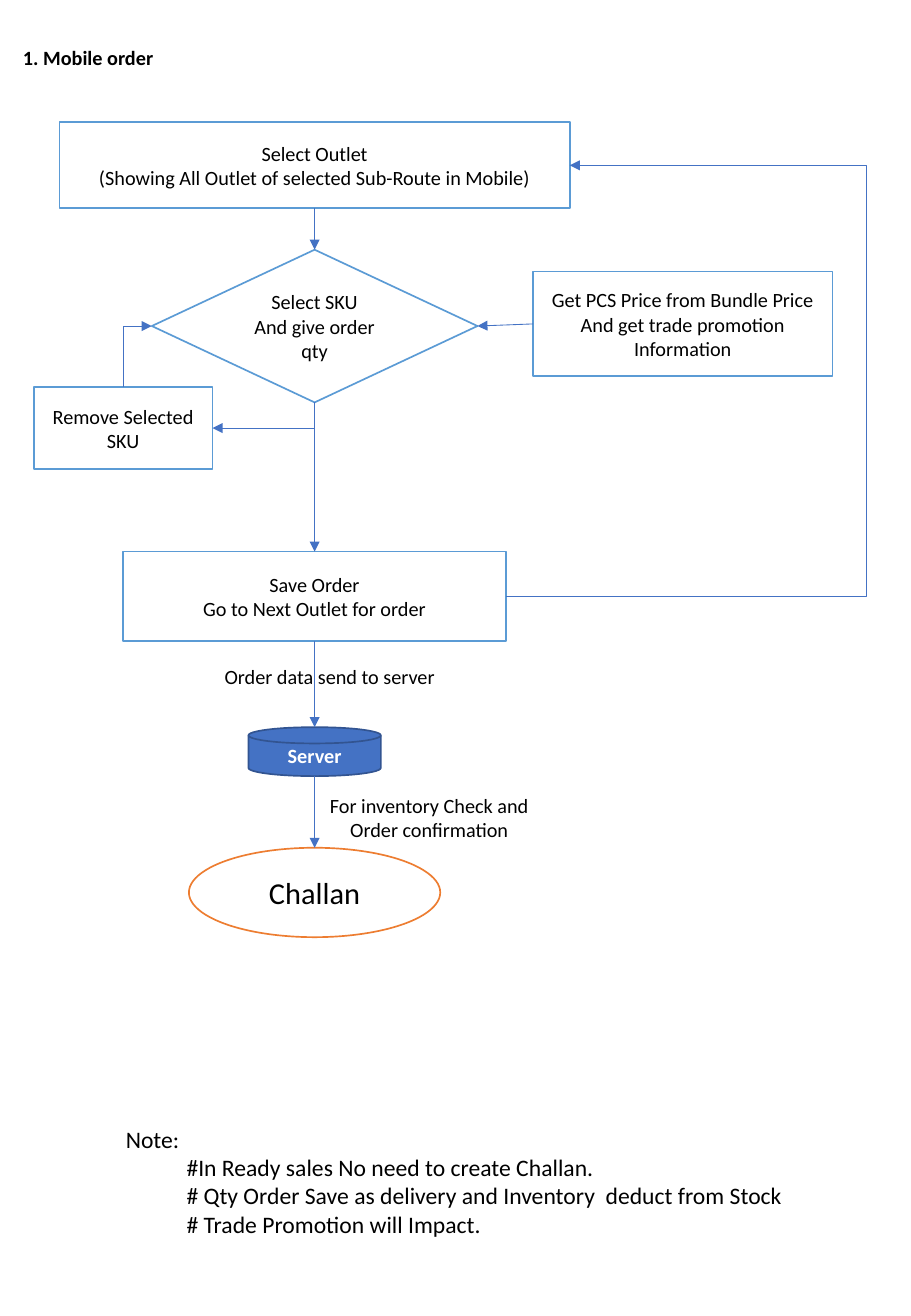
"""Build the mobile order flow chart slide."""
from dataclasses import dataclass

from lxml import etree
from pptx import Presentation
from pptx.dml.color import RGBColor
from pptx.enum.shapes import MSO_CONNECTOR, MSO_SHAPE
from pptx.enum.text import MSO_ANCHOR, PP_ALIGN
from pptx.oxml.ns import qn
from pptx.util import Pt

RECT, RHOMB = MSO_SHAPE.RECTANGLE, MSO_SHAPE.DIAMOND
OVAL, DISK = MSO_SHAPE.OVAL, MSO_SHAPE.FLOWCHART_MAGNETIC_DISK
LINE, ELBOW = MSO_CONNECTOR.STRAIGHT, MSO_CONNECTOR.ELBOW
LEFT, MID = PP_ALIGN.LEFT, PP_ALIGN.CENTER
MIDDLE, HIGH = MSO_ANCHOR.MIDDLE, MSO_ANCHOR.TOP
NORTH, WEST, SOUTH, EAST = range(4)


@dataclass(frozen=True)
class Theme:
    font: str = "Calibri"
    ink: str = "000000"
    paper: str = "FFFFFF"
    edge: str = "5B9BD5"
    wire: str = "4472C4"
    rim: str = "325491"
    warm: str = "ED7D31"
    body: int = 12
    note: int = 14
    big: int = 18


class Chart:
    def __init__(self, slide, theme):
        self.slide, self.theme = slide, theme

    def letter(self, shape, text, size, color, bold=False, align=MID, anchor=MIDDLE):
        frame = shape.text_frame
        frame.text = text
        frame.vertical_anchor = anchor
        for para in frame.paragraphs:
            para.alignment = align
            for run in para.runs:
                font = run.font
                font.name, font.size, font.bold = self.theme.font, Pt(size), bold
                font.color.rgb = RGBColor.from_string(color)
        return frame

    def node(self, kind, mid, top, wide, high, text, fill=None, edge=None,
             size=None, color=None, bold=False):
        look = self.theme
        shape = self.slide.shapes.add_shape(
            kind, Pt(mid - wide / 2), Pt(top), Pt(wide), Pt(high))
        shape.shadow.inherit = False
        shape.fill.solid()
        shape.fill.fore_color.rgb = RGBColor.from_string(fill or look.paper)
        shape.line.color.rgb = RGBColor.from_string(edge or look.edge)
        shape.line.width = Pt(1)
        frame = self.letter(shape, text, size or look.body, color or look.ink, bold)
        frame.word_wrap = True
        return shape

    def label(self, left, top, wide, high, text, size=None, wrap=False, **style):
        box = self.slide.shapes.add_textbox(Pt(left), Pt(top), Pt(wide), Pt(high))
        frame = self.letter(box, text, size or self.theme.body, self.theme.ink, **style)
        frame.word_wrap = wrap
        return frame

    def spot(self, shape, side):
        x = {WEST: 0, EAST: shape.width}.get(side, shape.width // 2)
        y = {NORTH: 0, SOUTH: shape.height}.get(side, shape.height // 2)
        return shape.left + x, shape.top + y

    def site(self, shape, side):
        disk = shape.auto_shape_type == DISK
        return side + 1 if disk else side

    def link(self, start, out, stop, into, kind=LINE, end="tailEnd"):
        con = self.slide.shapes.add_connector(kind, 0, 0, 0, 0)
        con.begin_connect(start, self.site(start, out))
        con.end_connect(stop, self.site(stop, into))
        con.begin_x, con.begin_y = self.spot(start, out)
        con.end_x, con.end_y = self.spot(stop, into)
        con.line.color.rgb = RGBColor.from_string(self.theme.wire)
        con.line.width = Pt(0.5)
        props = con.element.spPr
        etree.SubElement(props.find(qn("a:ln")), qn("a:" + end), type="triangle")
        etree.SubElement(props, qn("a:effectLst"))
        return con

    def bend(self, start, out, stop, into):
        con = self.link(start, out, stop, into, ELBOW, "headEnd")
        con.element.spPr.find(qn("a:prstGeom")).set("prst", "bentConnector2")

    def loop(self, start, stop, far):
        con = self.link(start, EAST, stop, EAST, ELBOW)
        ratio = (Pt(far) - con.begin_x) / (con.end_x - con.begin_x)
        guides = con.element.spPr.find(qn("a:prstGeom")).find(qn("a:avLst"))
        etree.SubElement(guides, qn("a:gd"), name="adj1",
                         fmla=f"val {round(ratio * 100000)}")


deck = Presentation()
deck.slide_width, deck.slide_height = Pt(540), Pt(780)
look = Theme()
flow = Chart(deck.slides.add_slide(deck.slide_layouts[6]), look)
axis = 186.5

title = flow.label(6.5, 17.5, 466, 35, "1. Mobile order", wrap=True, bold=True, align=LEFT)
title.paragraphs[0].line_spacing = 0.9

outlet = flow.node(RECT, axis, 72.5, 302.5, 51,
                   "Select Outlet\n(Showing All Outlet of selected Sub-Route in Mobile)")
pick = flow.node(RHOMB, axis, 148, 193, 90.5, "Select SKU\nAnd give order qty")
price = flow.node(RECT, 404.75, 161, 177.5, 62,
                  "Get PCS Price from Bundle Price\nAnd get trade promotion Information")
drop = flow.node(RECT, 73, 229.5, 106, 48.5, "Remove Selected SKU")
save = flow.node(RECT, axis, 327, 227, 53, "Save Order\nGo to Next Outlet for order")
server = flow.node(DISK, axis, 431, 78.5, 29, "Server", look.wire, look.rim,
                   color=look.paper, bold=True)
challan = flow.node(OVAL, axis, 502.5, 149, 53, "Challan", edge=look.warm, size=look.big)

steps = (outlet, pick, save, server, challan)
for above, below in zip(steps, steps[1:]):
    flow.link(above, SOUTH, below, NORTH)
flow.link(price, WEST, pick, EAST)
flow.bend(drop, EAST, pick, SOUTH)
flow.bend(pick, WEST, drop, NORTH)
flow.loop(save, outlet, 513.5)

flow.label(125.5, 390, 140, 22, "Order data send to server")
flow.label(186.5, 466.5, 136, 36, "For inventory Check and\nOrder confirmation")

note = flow.label(67.5, 663, 407, 75,
                  "Note:\n#In Ready sales No need to create Challan.\n"
                  "# Qty Order Save as delivery and Inventory  deduct from Stock\n"
                  "# Trade Promotion will Impact.",
                  look.note, align=LEFT, anchor=HIGH)
for para in note.paragraphs[1:]:
    para._p.get_or_add_pPr().set("marL", str(Pt(36)))

deck.save("out.pptx")
